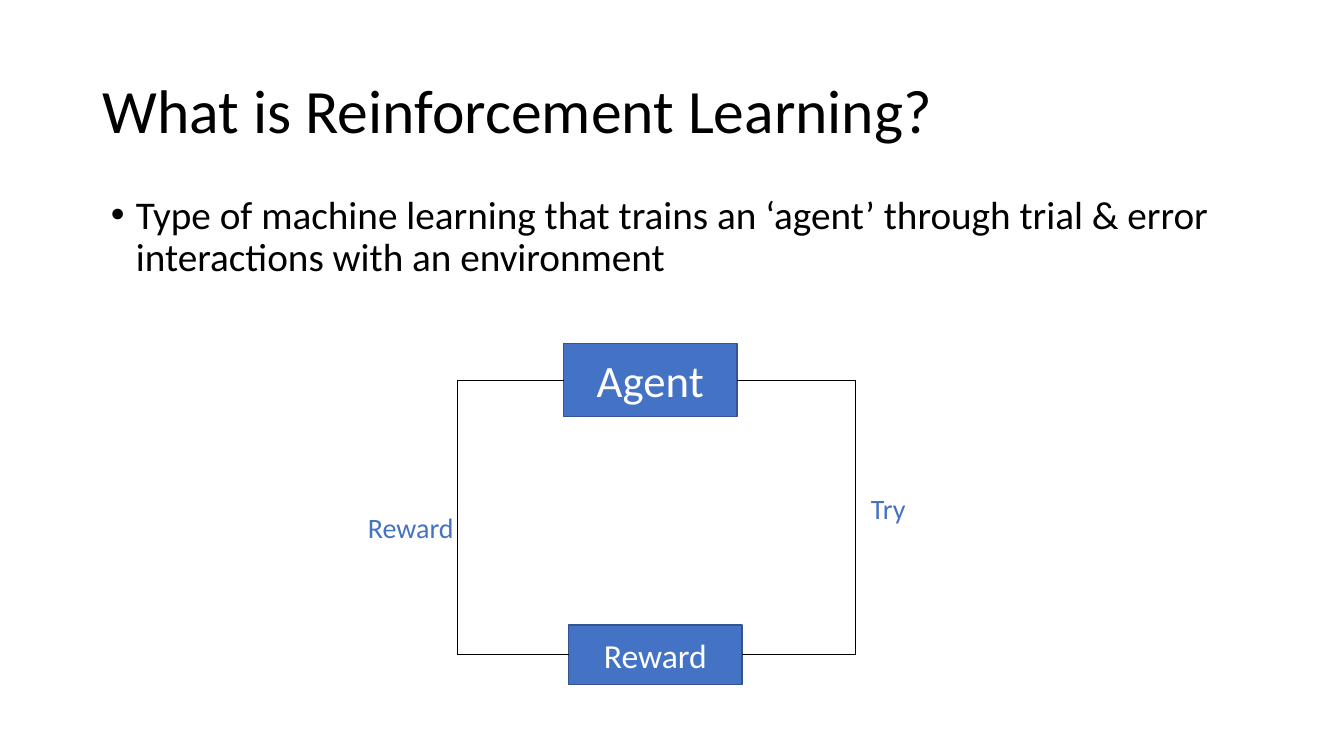
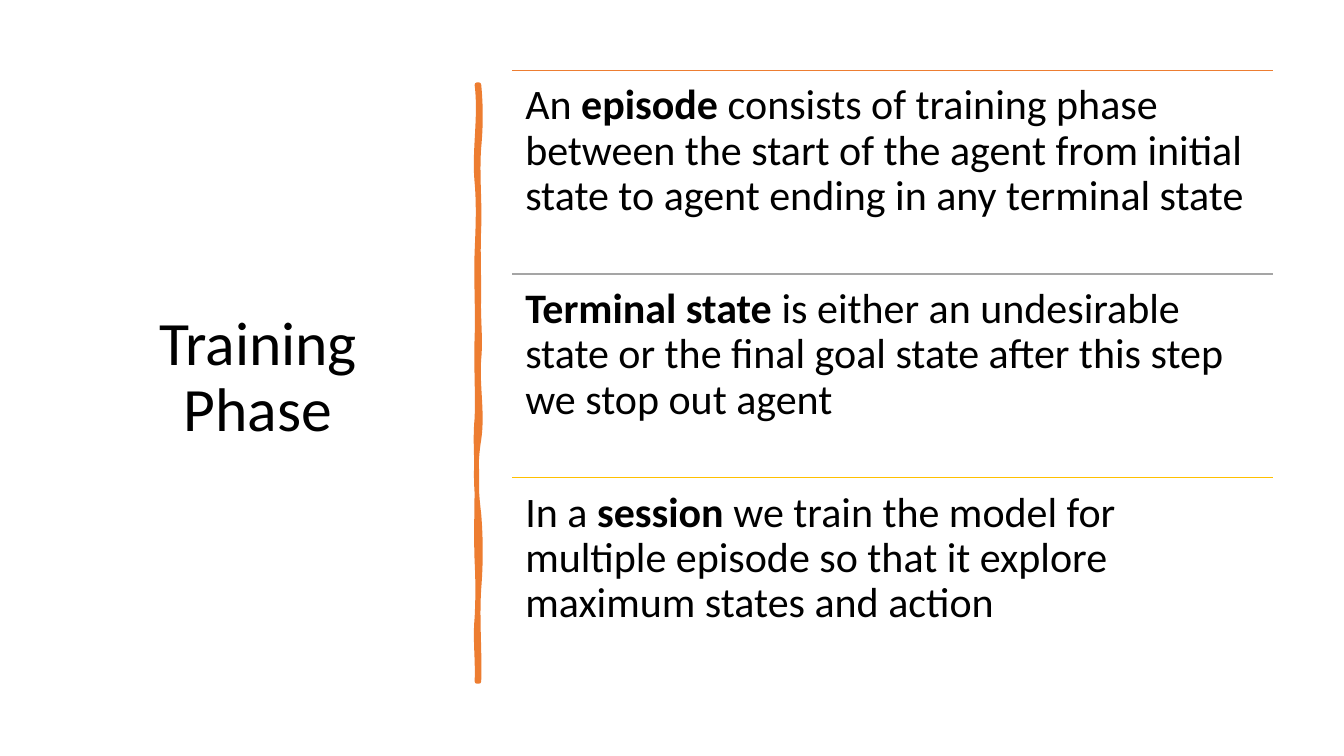
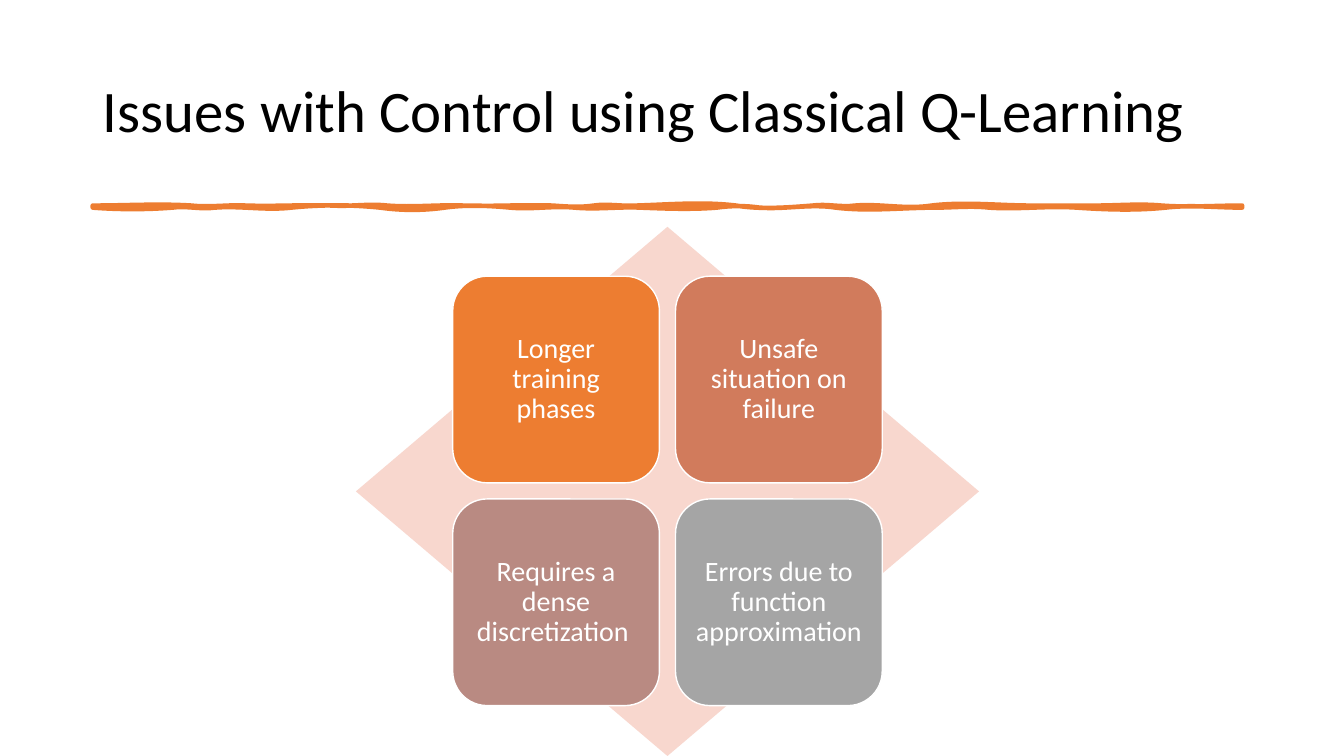
"""Build three slides on reinforcement learning and its training issues."""
from dataclasses import dataclass
from typing import NamedTuple

from lxml import etree
from pptx import Presentation
from pptx.dml.color import RGBColor
from pptx.enum import shapes, text
from pptx.oxml import ns
from pptx.util import Emu, Inches, Pt


@dataclass(frozen=True)
class Theme:
    """Colours, type sizes and line widths shared by the slides."""
    font: str = "Calibri"
    ink: str = "000000"
    white: str = "FFFFFF"
    blue: str = "4472C4"
    navy: str = "325491"
    orange: str = "ED7D31"
    clay: str = "D17B5C"
    mauve: str = "B98A82"
    grey: str = "A5A5A5"
    gold: str = "FFC000"
    blush: str = "F8D7CE"
    title: float = 44
    long_title: float = 42
    agent: float = 32
    statement: float = 30
    body: float = 28
    reward: float = 24
    label: float = 20
    thin: float = 0.5
    outline: float = 1
    brush: float = 3.25
    leading: float = 0.9


THEME = Theme()


class Area(NamedTuple):
    """A rectangle in inches."""
    left: float
    top: float
    width: float
    height: float

    def lengths(self) -> list[Emu]:
        """Return the four measures as lengths."""
        return [Inches(value) for value in self]


class Span(NamedTuple):
    """A piece of text with one weight."""
    words: str
    bold: bool = False


class Statement(NamedTuple):
    """A ruled statement on the training slide."""
    colour: str
    spans: tuple[Span, ...]


class Tile(NamedTuple):
    """A rounded tile in the issues grid."""
    words: str
    colour: str


class Wave(NamedTuple):
    """One curve of a brush edge: its end and two bulges in hundredths of an inch."""
    end: float
    first: float
    second: float


class Edge(NamedTuple):
    """One side of a brush stroke, resting on a base line."""
    start: float
    base: float
    waves: tuple[Wave, ...]


TITLE_AREA = Area(0.92, 0.4, 11.5, 1.45)
SIDE_TITLE_AREA = Area(0.69, 0.7, 3.74, 6.11)

STATEMENTS = (
    Statement(THEME.orange, (
        Span("An "), Span("episode", True),
        Span(" consists of training phase between the start of the agent "
             "from initial state to agent ending in any terminal state"))),
    Statement(THEME.grey, (
        Span("Terminal state ", True),
        Span("is either an undesirable state or the final goal state "
             "after this step we stop out agent"))),
    Statement(THEME.gold, (
        Span("In a "), Span("session", True),
        Span(" we train the model for multiple episode so that it explore "
             "maximum states and action"))),
)

TILES = (
    Tile("Longer training phases", THEME.orange),
    Tile("Unsafe situation on failure", THEME.clay),
    Tile("Requires a dense discretization ", THEME.mauve),
    Tile("Errors due to function approximation", THEME.grey),
)

DIVIDER = (
    Edge(0.84, 4.75, (
        Wave(1.46, 2, 2), Wave(2.26, -2, 1), Wave(2.94, -1, 0),
        Wave(3.56, -1, 2), Wave(4.36, -2, 4), Wave(5.1, -4, -3),
        Wave(5.84, 2, 2), Wave(6.76, -2, 1))),
    Edge(6.76, 4.73, (
        Wave(6.13, 1, -2), Wave(5.57, 1, 1), Wave(4.77, -1, 0),
        Wave(4.15, 0, -2), Wave(3.35, 1, -1), Wave(2.5, 1, -1),
        Wave(1.81, 1, 2), Wave(0.84, -3, 4))),
)

UNDERLINE = (
    Edge(0.92, 2.04, (
        Wave(1.9, 0, -2), Wave(2.44, 2, -1), Wave(3.31, 1, -1),
        Wave(3.84, 1, -2), Wave(4.6, 2, -1), Wave(5.48, 1, -1),
        Wave(5.89, 1, 2), Wave(6.31, -2, 1), Wave(7.3, -1, -4),
        Wave(8.06, 4, 2), Wave(8.48, -2, 2), Wave(9.24, -2, 4),
        Wave(10.23, -4, 0), Wave(10.87, 0, 0), Wave(11.52, 0, -2),
        Wave(12.32, 2, 0))),
    Edge(12.32, 2.06, (
        Wave(11.56, 0, -3), Wave(10.68, 3, 2), Wave(9.81, -2, 2),
        Wave(9.28, -2, 0), Wave(8.29, 0, 4), Wave(7.53, -4, 2),
        Wave(7.11, -2, -2), Wave(6.35, 2, 1), Wave(5.7, -1, 2),
        Wave(5.06, -2, 2), Wave(4.41, -2, -3), Wave(3.77, 3, 3),
        Wave(2.89, -3, -3), Wave(2.13, 3, -2), Wave(1.71, 2, -2),
        Wave(0.92, 2, 2))),
)


def rgb(colour: str) -> RGBColor:
    """Turn a hex colour into a colour object."""
    return RGBColor.from_string(colour)


def write(frame, spans: tuple[Span, ...], size: float, colour: str = THEME.ink,
          align=text.PP_ALIGN.LEFT, anchor=text.MSO_ANCHOR.TOP,
          leading: float = 1.0, inset: float | None = None):
    """Fill a text frame with one paragraph and return it."""
    frame.word_wrap = True
    frame.auto_size = text.MSO_AUTO_SIZE.NONE
    frame.vertical_anchor = anchor
    if inset is not None:
        frame.margin_left = frame.margin_right = Inches(inset)
        frame.margin_top = frame.margin_bottom = Inches(inset)
    para = frame.paragraphs[0]
    para.alignment = align
    para.line_spacing = leading
    para.space_before = Pt(0)
    for span in spans:
        run = para.add_run()
        run.text = span.words
        run.font.name = THEME.font
        run.font.size = Pt(size)
        run.font.bold = span.bold
        run.font.color.rgb = rgb(colour)
    return para


def add_page(deck, title: str, area: Area = TITLE_AREA,
             size: float = THEME.title, align=text.PP_ALIGN.LEFT):
    """Add a title-only slide with its placed title."""
    page = deck.slides.add_slide(deck.slide_layouts[5])
    box = page.shapes.title
    box.left, box.top, box.width, box.height = area.lengths()
    write(box.text_frame, (Span(title),), size, align=align,
          anchor=text.MSO_ANCHOR.MIDDLE, leading=THEME.leading)
    return page


def add_text(page, area: Area, spans: tuple[Span, ...], size: float, **style):
    """Add a text box and return its paragraph."""
    box = page.shapes.add_textbox(*area.lengths())
    return write(box.text_frame, spans, size, **style)


def add_bullet(para) -> None:
    """Give a paragraph a round bullet and a hanging indent."""
    properties = para._p.get_or_add_pPr()
    properties.set("marL", str(Inches(0.25)))
    properties.set("indent", str(Inches(-0.25)))
    etree.SubElement(properties, ns.qn("a:buFont"), typeface="Arial")
    etree.SubElement(properties, ns.qn("a:buChar"), char="•")


def paint(shape, fill: str, line: str | None = None,
          width: float = THEME.outline) -> None:
    """Set a shape's fill and outline without a shadow."""
    shape.shadow.inherit = False
    shape.fill.solid()
    shape.fill.fore_color.rgb = rgb(fill)
    if line is None:
        shape.line.fill.background()
    else:
        shape.line.color.rgb = rgb(line)
        shape.line.width = Pt(width)


def add_block(page, kind, area: Area, words: str, size: float, fill: str,
              line: str, **style):
    """Add a filled shape with centred white text."""
    block = page.shapes.add_shape(kind, *area.lengths())
    paint(block, fill, line)
    write(block.text_frame, (Span(words),), size, THEME.white,
          text.PP_ALIGN.CENTER, text.MSO_ANCHOR.MIDDLE, **style)
    return block


def add_line(page, start: tuple[Emu, Emu], end: tuple[Emu, Emu],
             colour: str, width: float):
    """Add a straight connector without a shadow."""
    line = page.shapes.add_connector(shapes.MSO_CONNECTOR.STRAIGHT, *start, *end)
    line.line.color.rgb = rgb(colour)
    line.line.width = Pt(width)
    etree.SubElement(line._element.spPr, ns.qn("a:effectLst"))
    return line


def trace(edge: Edge, following: Edge) -> list[tuple[float, float]]:
    """List three curve points per wave and three for the joint to the next edge."""
    points = []
    start = edge.start
    for wave in edge.waves:
        third = (wave.end - start) / 3
        points += [(start + third, edge.base + wave.first / 100),
                   (wave.end - third, edge.base + wave.second / 100),
                   (wave.end, edge.base)]
        start = wave.end
    return points + [(following.start, following.base)] * 3


def bend(shape) -> None:
    """Turn each three straight segments of a freeform into one curve."""
    segments = list(shape._element.iter(ns.qn("a:lnTo")))
    for first, *others in zip(segments[::3], segments[1::3], segments[2::3]):
        first.tag = ns.qn("a:cubicBezTo")
        for other in others:
            first.append(other[0])
            other.getparent().remove(other)


def add_brush(page, edges: tuple[Edge, ...], upright: bool = False) -> None:
    """Draw a hand-brushed stroke between two wavy edges."""
    upper, lower = edges
    outline = [(upper.start, upper.base), *trace(upper, lower),
               *trace(lower, upper)]
    points = [(Inches(across), Inches(along)) if upright
              else (Inches(along), Inches(across))
              for along, across in outline]
    builder = page.shapes.build_freeform(*points[0])
    builder.add_line_segments(points[1:], close=True)
    stroke = builder.convert_to_shape()
    bend(stroke)
    paint(stroke, THEME.orange, THEME.orange, THEME.brush)


def add_loop(page, agent, reward) -> None:
    """Join the two boxes by a rectangular loop."""
    high, low = (box.top + box.height // 2 for box in (agent, reward))
    for side, site in ((Inches(4.54), 1), (Inches(8.48), 3)):
        for box, level in ((agent, high), (reward, low)):
            arm = add_line(page, (box.left, level), (side, level),
                           THEME.ink, THEME.thin)
            arm.begin_connect(box, site)
        add_line(page, (side, high), (side, low), THEME.ink, THEME.thin)


def add_definition_slide(deck) -> None:
    """Add the definition and the agent loop."""
    page = add_page(deck, "What is Reinforcement Learning?")
    definition = ("Type of machine learning that trains an ‘agent’ through "
                  "trial & error interactions with an environment")
    add_bullet(add_text(page, Area(1, 1.89, 12.09, 1.2), (Span(definition),),
                        THEME.body, leading=THEME.leading))
    agent, reward = (
        add_block(page, shapes.MSO_SHAPE.RECTANGLE, area, words, size,
                  THEME.blue, THEME.navy)
        for area, words, size in (
            (Area(5.59, 3.41, 1.72, 0.72), "Agent", THEME.agent),
            (Area(5.64, 6.2, 1.72, 0.59), "Reward", THEME.reward)))
    add_loop(page, agent, reward)
    for words, left, top in (("Try", 8.54, 4.83), ("Reward", 3.55, 5.02)):
        add_text(page, Area(left, top, 1.17, 0.44), (Span(words),),
                 THEME.label, colour=THEME.blue)


def add_training_slide(deck) -> None:
    """Add the ruled statements beside a side title."""
    page = add_page(deck, "Training Phase", SIDE_TITLE_AREA,
                    align=text.PP_ALIGN.CENTER)
    add_brush(page, DIVIDER, upright=True)
    left, width, height = 5.08, 7.55, 2.02
    for row, statement in enumerate(STATEMENTS):
        top = 0.7 + row * height
        add_line(page, (Inches(left), Inches(top)),
                 (Inches(left + width), Inches(top)),
                 statement.colour, THEME.outline)
        add_text(page, Area(left, top, width, height), statement.spans,
                 THEME.statement, leading=THEME.leading, inset=0.13)


def add_issues_slide(deck) -> None:
    """Add the two-by-two tiles over a diamond."""
    page = add_page(deck, "Issues with Control using Classical Q-Learning",
                    size=THEME.long_title)
    add_brush(page, UNDERLINE)
    diamond = page.shapes.add_shape(shapes.MSO_SHAPE.DIAMOND,
                                    *Area(3.53, 2.25, 6.18, 5.25).lengths())
    paint(diamond, THEME.blush)
    side, pitch = 2.05, 2.21
    for index, tile in enumerate(TILES):
        row, column = divmod(index, 2)
        area = Area(4.49 + column * pitch, 2.74 + row * pitch, side, side)
        add_block(page, shapes.MSO_SHAPE.ROUNDED_RECTANGLE, area, tile.words,
                  THEME.label, tile.colour, THEME.white,
                  leading=THEME.leading, inset=0.08)


def main() -> None:
    """Build and save the deck."""
    deck = Presentation()
    deck.slide_width, deck.slide_height = Inches(13.33), Inches(7.5)
    add_definition_slide(deck)
    add_training_slide(deck)
    add_issues_slide(deck)
    deck.save("out.pptx")


if __name__ == "__main__":
    main()
